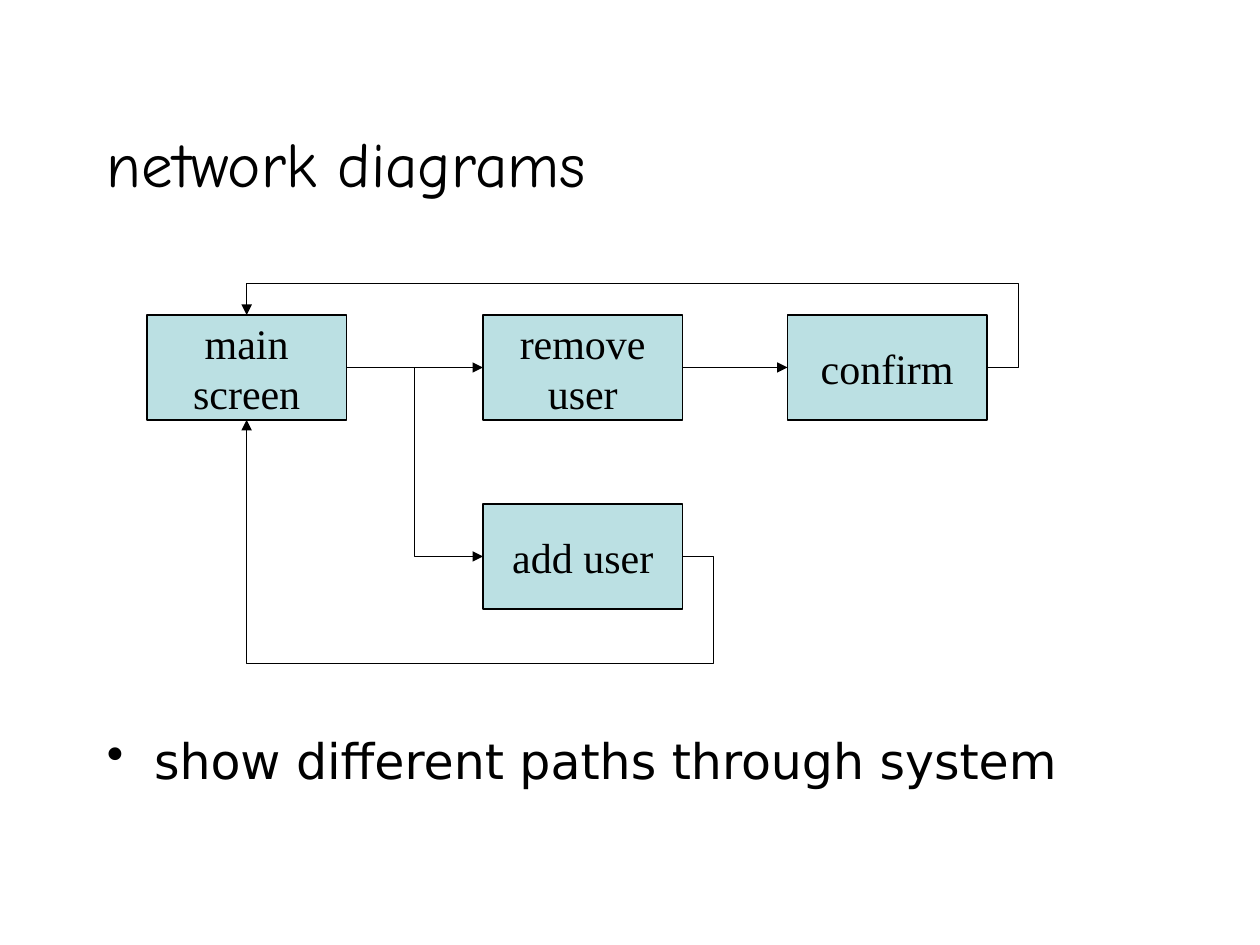
from dataclasses import dataclass
from typing import Optional

from lxml import etree
from pptx import Presentation
from pptx import util as u
from pptx.dml.color import RGBColor
from pptx.enum import shapes, text
from pptx.oxml.ns import qn

BLACK = RGBColor(0x00, 0x00, 0x00)
TEAL = RGBColor(0xBB, 0xE0, 0xE3)
WIDE, HIGH = 114, 60
TOP, LEFT, BOTTOM, RIGHT = range(4)


@dataclass(frozen=True)
class Box:
    label: str
    x: float
    y: float

    def side(self, site: int) -> tuple[float, float]:
        return {
            TOP: (self.x + WIDE / 2, self.y),
            LEFT: (self.x, self.y + HIGH / 2),
            BOTTOM: (self.x + WIDE / 2, self.y + HIGH),
            RIGHT: (self.x + WIDE, self.y + HIGH / 2),
        }[site]


@dataclass(frozen=True)
class Link:
    start: Box
    end: Box
    site: int = LEFT
    bent: bool = False
    turn: Optional[tuple[float, float]] = None


MAIN = Box("main\nscreen", 84, 180)
REMOVE = Box("remove\nuser", 276, 180)
CONFIRM = Box("confirm", 450, 180)
ADD = Box("add user", 276, 288)
BOXES = (MAIN, REMOVE, CONFIRM, ADD)
LINKS = (
    Link(MAIN, REMOVE),
    Link(MAIN, ADD, bent=True),
    Link(REMOVE, CONFIRM),
    Link(CONFIRM, MAIN, TOP, True, (582, 162)),
    Link(ADD, MAIN, BOTTOM, True, (408, 379)),
)


def style(frame, font: str, size: float) -> None:
    for para in frame.paragraphs:
        for run in para.runs:
            run.font.name = font
            run.font.size = u.Pt(size)
            run.font.color.rgb = BLACK


def add_text(slide, words: str, x: float, y: float, w: float, h: float,
             font: str, size: float, anchor):
    frame = slide.shapes.add_textbox(*map(u.Pt, (x, y, w, h))).text_frame
    frame.word_wrap = True
    frame.vertical_anchor = anchor
    frame.text = words
    style(frame, font, size)
    return frame.paragraphs[0]


def add_bullet(para, indent: float) -> None:
    props = para._p.get_or_add_pPr()
    props.set("marL", str(u.Pt(indent)))
    props.set("indent", str(-u.Pt(indent)))
    etree.SubElement(props, qn("a:buChar")).set("char", "•")


def add_box(slide, box: Box):
    shape = slide.shapes.add_shape(
        shapes.MSO_SHAPE.FLOWCHART_PROCESS,
        *map(u.Pt, (box.x, box.y, WIDE, HIGH)))
    shape.shadow.inherit = False
    shape.fill.solid()
    shape.fill.fore_color.rgb = TEAL
    shape.line.color.rgb = BLACK
    shape.line.width = u.Pt(0.75)
    frame = shape.text_frame
    frame.word_wrap = False
    frame.vertical_anchor = text.MSO_ANCHOR.MIDDLE
    frame.text = box.label
    for para in frame.paragraphs:
        para.alignment = text.PP_ALIGN.CENTER
    style(frame, "Times New Roman", 24)
    return shape


def set_turn(line, link: Link) -> None:
    geom = line._element.spPr.find(qn("a:prstGeom"))
    geom.set("prst", "bentConnector4")
    guides = geom.find(qn("a:avLst"))
    if guides is None:
        guides = etree.SubElement(geom, qn("a:avLst"))
    ends = zip(link.start.side(RIGHT), link.end.side(link.site), link.turn)
    for index, (start, end, turn) in enumerate(ends, 1):
        ratio = round((turn - start) / (end - start) * 100000)
        guide = etree.SubElement(guides, qn("a:gd"))
        guide.set("name", f"adj{index}")
        guide.set("fmla", f"val {ratio}")


def add_link(slide, link: Link, drawn: dict) -> None:
    kind = shapes.MSO_CONNECTOR
    ends = link.start.side(RIGHT) + link.end.side(link.site)
    line = slide.shapes.add_connector(
        kind.ELBOW if link.bent else kind.STRAIGHT, *map(u.Pt, ends))
    line.begin_connect(drawn[link.start], RIGHT)
    line.end_connect(drawn[link.end], link.site)
    line.line.color.rgb = BLACK
    line.line.width = u.Pt(0.75)
    if link.turn:
        set_turn(line, link)
    tail = etree.SubElement(line.line._get_or_add_ln(), qn("a:tailEnd"))
    tail.set("type", "triangle")
    etree.SubElement(line._element.spPr, qn("a:effectLst"))


def main() -> None:
    deck = Presentation()
    deck.slide_width, deck.slide_height = u.Pt(720), u.Pt(540)
    slide = deck.slides.add_slide(deck.slide_layouts[6])
    add_text(slide, "network diagrams", 54, 48, 540, 90,
             "Comic Neue", 36, text.MSO_ANCHOR.MIDDLE)
    point = add_text(slide, "show different paths through system",
                     54, 414, 612, 66, "DejaVu Sans", 28,
                     text.MSO_ANCHOR.TOP)
    point.space_before = u.Pt(5.6)
    add_bullet(point, 27)
    drawn = {box: add_box(slide, box) for box in BOXES}
    for link in LINKS:
        add_link(slide, link, drawn)
    deck.save("out.pptx")


if __name__ == "__main__":
    main()
